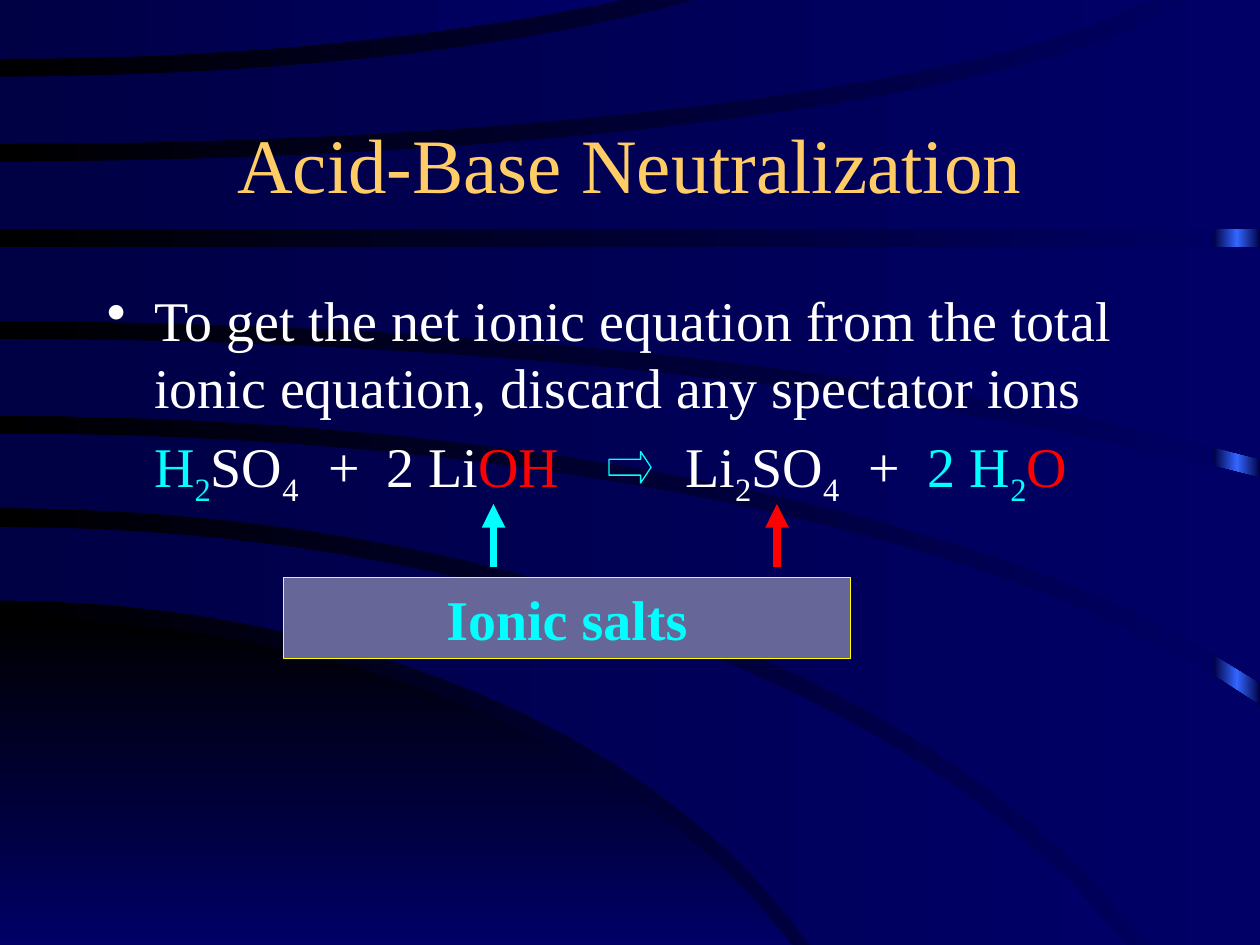
import copy
import math
from dataclasses import dataclass

import lxml.etree
import pptx
import pptx.dml.color
import pptx.enum.shapes
import pptx.enum.text
import pptx.oxml.ns
import pptx.util

COLUMNS, ROWS = 120, 90
CELL = pptx.util.Inches(10) // COLUMNS
EDGE_STEPS = 20


@dataclass(frozen=True)
class Theme:
    """Colours, font and type sizes of the slide."""
    font: str = "Times New Roman"
    title_size: int = 44
    body_size: int = 32
    black: str = "000000"
    navy: str = "000044"
    blue: str = "000066"
    glow: str = "3366FF"
    gold: str = "FFCC66"
    white: str = "FFFFFF"
    cyan: str = "00FFFF"
    red: str = "FF0000"
    slate: str = "666699"
    yellow: str = "FFFF00"


@dataclass(frozen=True)
class Arc:
    """Quarter ellipse from the left side: start row, reach and drop in cells."""
    start: float
    reach: float
    drop: float = 0

    def points(self):
        """Return points along the arc until it leaves the slide."""
        end = self.reach
        if self.drop:
            limit = ROWS if self.drop > 0 else 0
            share = min(1, (limit - self.start) / self.drop)
            end *= math.sqrt(1 - (1 - share) ** 2)
        end = min(COLUMNS, end)
        columns = [end * step / EDGE_STEPS for step in range(EDGE_STEPS + 1)]
        return [(column, self.start + self.drop
                 * (1 - math.sqrt(max(0, 1 - (column / self.reach) ** 2))))
                for column in columns]


THEME = Theme()

CORNER = (Arc(58.9, 84, 55.6), Arc(ROWS, 75.4))
BANDS = [
    (Arc(50.2, 118, 68), Arc(57.2, 85, 56.5)),
    (Arc(41.3, 132, 44.4), Arc(48.4, 119, 68.8)),
    (Arc(32.3, 170, 45.3), Arc(39.6, 134, 45.8)),
    (Arc(23.5, COLUMNS), Arc(30.6, 165, 41.8)),
    (Arc(15.4, 117, -20.6), Arc(21.8, COLUMNS)),
    (Arc(7.3, 84, -19), Arc(13.7, 115, -19.7)),
    (Arc(0, 59), Arc(5.6, 100, -29)),
]

EQUATION = [
    ("\tH", THEME.cyan, False), ("2", THEME.cyan, True),
    ("SO", THEME.white, False), ("4", THEME.white, True),
    ("\t+\t2 Li", THEME.white, False), ("OH", THEME.red, False),
    ("\tLi", THEME.white, False), ("2", THEME.white, True),
    ("SO", THEME.white, False), ("4", THEME.white, True),
    ("\t+", THEME.white, False), ("\t2 H", THEME.cyan, False),
    ("2", THEME.cyan, True), ("O", THEME.red, False),
]
EQUATION_TABS = [4.5, 21.1, 26.6, 55.1, 72.5, 78.2]


def grid(*cells):
    """Turn grid cells into lengths."""
    return [pptx.util.Emu(round(cell * CELL)) for cell in cells]


def rgb(colour):
    """Return a colour object for a hex value."""
    return pptx.dml.color.RGBColor.from_string(colour)


def add_element(parent, tag, **attributes):
    """Append a drawing element to its parent."""
    return lxml.etree.SubElement(parent, pptx.oxml.ns.qn(tag), **attributes)


def fill_gradient(fill, colours, angle=0):
    """Spread the colours evenly along a linear gradient."""
    fill.gradient()
    fill.gradient_angle = angle
    first = fill.gradient_stops[0]._gs
    for _ in colours[2:]:
        first.addnext(copy.deepcopy(first))
    for index, (stop, colour) in enumerate(zip(fill.gradient_stops, colours)):
        stop.color.rgb = rgb(colour)
        stop.position = index / (len(colours) - 1)


def format_font(font, size, colour, bold=False):
    """Apply the theme font with a size and colour."""
    font.name = THEME.font
    font.size = pptx.util.Pt(size)
    font.color.rgb = rgb(colour)
    font.bold = bold


def add_band(slide, edges, colours, angle=0):
    """Draw the gradient area between an upper and a lower arc."""
    upper, lower = (edge.points() for edge in edges)
    ends = sorted((upper[-1], lower[-1]))
    turn = (ends[1][0], ends[0][1])
    outline = upper + [turn] + lower[::-1]
    corners = [tuple(grid(*point)) for point in outline]
    builder = slide.shapes.build_freeform(*corners[0])
    builder.add_line_segments(corners[1:], close=True)
    shape = builder.convert_to_shape()
    shape.shadow.inherit = False
    shape.line.fill.background()
    fill_gradient(shape.fill, colours, angle)


def add_preset(slide, kind, box, line_colour):
    """Add a preset shape with a thin outline and no fill."""
    shape = slide.shapes.add_shape(kind, *grid(*box))
    shape.shadow.inherit = False
    shape.fill.background()
    shape.line.color.rgb = rgb(line_colour)
    shape.line.width = pptx.util.Pt(0.75)
    return shape


def add_backdrop(slide):
    """Paint the background, the glowing edge and the sweeping bands."""
    fill_gradient(slide.background.fill, (THEME.black, THEME.blue))
    edge = add_preset(slide, pptx.enum.shapes.MSO_SHAPE.RECTANGLE,
                      (115.6, 0, 4.4, ROWS), THEME.navy)
    edge.line.fill.background()
    fill_gradient(edge.fill, (THEME.navy, THEME.glow, THEME.navy))
    add_band(slide, CORNER, (THEME.black, THEME.blue), 270)
    for edges in BANDS:
        add_band(slide, edges, (THEME.navy, THEME.blue))


def set_centred(frame, text, size, colour, bold=False):
    """Put one centred line in the middle of a frame."""
    frame.word_wrap = True
    frame.vertical_anchor = pptx.enum.text.MSO_ANCHOR.MIDDLE
    frame.text = text
    paragraph = frame.paragraphs[0]
    paragraph.alignment = pptx.enum.text.PP_ALIGN.CENTER
    format_font(paragraph.runs[0].font, size, colour, bold)


def add_body(slide, text):
    """Add the bullet and the reaction equation."""
    frame = slide.shapes.add_textbox(*grid(9, 26.6, 108, 54)).text_frame
    frame.word_wrap = True
    frame.text = text
    bullet = frame.paragraphs[0]
    properties = bullet._p.get_or_add_pPr()
    indent = grid(4.5)[0]
    properties.set("marL", str(indent))
    properties.set("indent", str(-indent))
    add_element(properties, "a:buChar", char="•")
    format_font(bullet.runs[0].font, THEME.body_size, THEME.white)

    equation = frame.add_paragraph()
    equation.space_before = pptx.util.Pt(6.4)
    properties = equation._p.get_or_add_pPr()
    add_element(properties, "a:buNone")
    tabs = add_element(properties, "a:tabLst")
    for position in grid(*EQUATION_TABS):
        add_element(tabs, "a:tab", pos=str(position), algn="l")
    for part, colour, subscript in EQUATION:
        run = equation.add_run()
        run.text = part
        format_font(run.font, THEME.body_size, colour)
        if subscript:
            run.font._element.set("baseline", "-25000")


def add_label(slide, text):
    """Add the filled label box."""
    shape = add_preset(slide, pptx.enum.shapes.MSO_SHAPE.RECTANGLE,
                       (27, 55, 54, 7.7), THEME.yellow)
    shape.fill.solid()
    shape.fill.fore_color.rgb = rgb(THEME.slate)
    set_centred(shape.text_frame, text, THEME.body_size, THEME.cyan, bold=True)


def add_up_arrow(slide, column, colour):
    """Add an upward arrow from the label to the equation."""
    arrow = slide.shapes.add_connector(pptx.enum.shapes.MSO_CONNECTOR.STRAIGHT,
                                       *grid(column, 54, column, 48))
    arrow.line.color.rgb = rgb(colour)
    arrow.line.width = pptx.util.Pt(4.5)
    add_element(arrow.line._get_or_add_ln(), "a:tailEnd", type="triangle")
    add_element(arrow._element.spPr, "a:effectLst")


def main():
    """Build and save the slide."""
    presentation = pptx.Presentation()
    presentation.slide_width, presentation.slide_height = grid(COLUMNS, ROWS)
    slide = presentation.slides.add_slide(presentation.slide_layouts[6])
    add_backdrop(slide)
    title = slide.shapes.add_textbox(*grid(9, 8, 102, 15))
    set_centred(title.text_frame, "Acid-Base Neutralization", THEME.title_size, THEME.gold)
    add_body(slide, "To get the net ionic equation from the total ionic equation, "
                    "discard any spectator ions")
    yields = add_preset(slide, pptx.enum.shapes.MSO_SHAPE.RIGHT_ARROW,
                        (58, 43, 4, 3), THEME.cyan)
    yields.adjustments[1] = 0.33
    add_label(slide, "Ionic salts")
    for column, colour in ((47, THEME.cyan), (74, THEME.red)):
        add_up_arrow(slide, column, colour)
    presentation.save("out.pptx")


if __name__ == "__main__":
    main()
